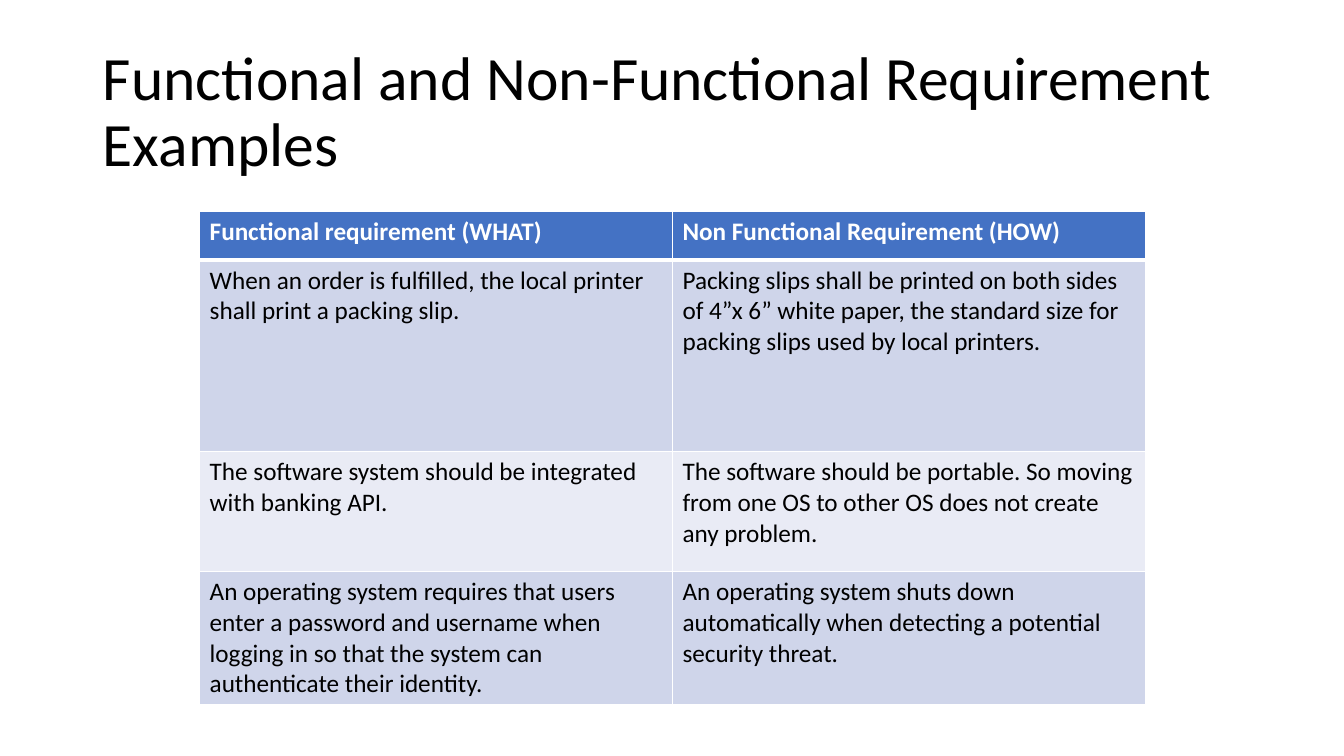
from dataclasses import dataclass

from lxml import etree
from pptx import Presentation
from pptx.dml.color import RGBColor
from pptx.enum.text import MSO_ANCHOR, MSO_AUTO_SIZE, PP_ALIGN
from pptx.oxml.ns import qn
from pptx.util import Inches, Pt

LEFT = PP_ALIGN.LEFT
TOP = MSO_ANCHOR.TOP
MIDDLE = MSO_ANCHOR.MIDDLE
NO_FIT = MSO_AUTO_SIZE.NONE
TITLE_ONLY = 5


@dataclass(frozen=True)
class Theme:
    font: str = "Calibri"
    ink: str = "000000"
    paper: str = "FFFFFF"
    head: str = "4472C4"
    bands: tuple = ("CFD5EA", "E9EBF5")
    title: int = 44
    body: int = 18
    thin: int = 1
    thick: int = 3


class Page:
    def __init__(self, deck, theme):
        self.theme = theme
        self.slide = deck.slides.add_slide(deck.slide_layouts[TITLE_ONLY])
        fill = self.slide.background.fill
        fill.solid()
        fill.fore_color.rgb = RGBColor.from_string(theme.paper)

    def style(self, frame, size, color, bold=False):
        for para in frame.paragraphs:
            para.alignment = LEFT
            for run in para.runs:
                font = run.font
                font.name = self.theme.font
                font.size = Pt(size)
                font.bold = bold
                font.color.rgb = RGBColor.from_string(color)

    def title(self, text, left, top, width, height):
        box = self.slide.shapes.title
        box.left, box.top = Inches(left), Inches(top)
        box.width, box.height = Inches(width), Inches(height)
        frame = box.text_frame
        frame.text = text
        frame.word_wrap = True
        frame.auto_size = NO_FIT
        frame.vertical_anchor = MIDDLE
        frame.paragraphs[0].line_spacing = 0.9
        self.style(frame, self.theme.title, self.theme.ink)

    def border(self, cell, top, bottom):
        thin = self.theme.thin
        props = cell._tc.get_or_add_tcPr()
        sides = (("lnL", thin), ("lnR", thin), ("lnT", top), ("lnB", bottom))
        for spot, (side, width) in enumerate(sides):
            line = etree.Element(qn(f"a:{side}"), w=str(Pt(width)))
            fill = etree.SubElement(line, qn("a:solidFill"))
            etree.SubElement(fill, qn("a:srgbClr"), val=self.theme.paper)
            props.insert(spot, line)

    def cell(self, cell, text, row):
        theme = self.theme
        head = row == 0
        cell.text = text
        cell.vertical_anchor = TOP
        self.style(cell.text_frame, theme.body,
                   theme.paper if head else theme.ink, head)
        color = theme.head if head else theme.bands[(row - 1) % 2]
        cell.fill.solid()
        cell.fill.fore_color.rgb = RGBColor.from_string(color)
        self.border(cell, theme.thick if row == 1 else theme.thin,
                    theme.thick if head else theme.thin)

    def table(self, rows, left, top, width, heights):
        count = len(rows[0])
        table = self.slide.shapes.add_table(
            len(rows), count, Inches(left), Inches(top),
            Inches(width), Inches(sum(heights))).table
        for column in table.columns:
            column.width = Inches(width / count)
        for row, (texts, height) in enumerate(zip(rows, heights)):
            table.rows[row].height = Inches(height)
            for col, text in enumerate(texts):
                self.cell(table.cell(row, col), text, row)


ROWS = (
    ("Functional requirement (WHAT)",
     "Non Functional Requirement (HOW)"),
    ("When an order is fulfilled, the local printer shall print a packing slip.",
     "Packing slips shall be printed on both sides of 4”x 6” white paper, "
     "the standard size for packing slips used by local printers."),
    ("The software system should be integrated with banking API.",
     "The software should be portable. So moving from one OS to other OS "
     "does not create any problem."),
    ("An operating system requires that users enter a password and username "
     "when logging in so that the system can authenticate their identity.",
     "An operating system shuts down automatically when detecting a "
     "potential security threat."),
)


def main():
    deck = Presentation()
    deck.slide_width, deck.slide_height = Inches(13.33), Inches(7.5)
    page = Page(deck, Theme())
    page.title("Functional and Non-Functional Requirement Examples",
               0.92, 0.4, 11.5, 1.45)
    page.table(ROWS, 1.98, 2.1, 9.38, (0.48, 1.9, 1.19, 1.19))
    deck.save("out.pptx")


if __name__ == "__main__":
    main()
